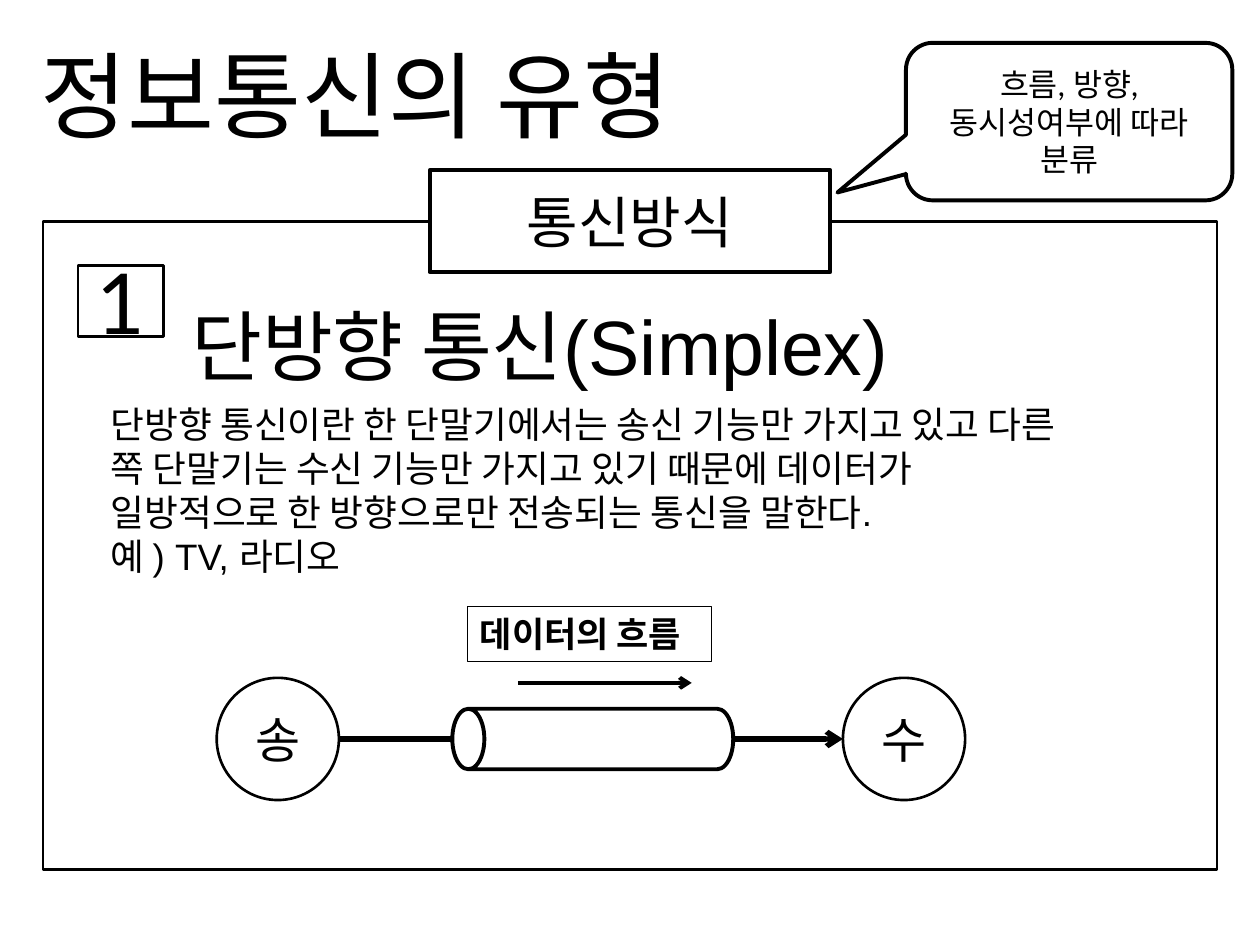
from lxml import etree
from pptx import Presentation
from pptx.dml.color import RGBColor
from pptx.enum import shapes, text
from pptx.oxml import ns
from pptx.util import Inches, Pt

HUES = {"ink": "000000", "paper": "FFFFFF"}
KIND = shapes.MSO_SHAPE
ALIGN = text.PP_ALIGN
ANCHOR = text.MSO_ANCHOR


def hue(name):
    return RGBColor.from_string(HUES[name])


def write(frame, lines, size, font="Lato", align=ALIGN.LEFT,
          anchor=ANCHOR.TOP, bold=False):
    """Fill a text frame with one paragraph, broken into the given lines."""
    frame.word_wrap = True
    frame.vertical_anchor = anchor
    para = frame.paragraphs[0]
    para.alignment = align
    for i, line in enumerate(lines):
        if i:
            para.add_line_break()
        run = para.add_run()
        run.text = line
        run.font.size = Pt(size)
        run.font.name = font
        run.font.bold = bold
        run.font.color.rgb = hue("ink")


def shape(slide, kind, x, y, w, h, line, fill=True):
    item = slide.shapes.add_shape(kind, *map(Inches, (x, y, w, h)))
    item.shadow.inherit = False
    if fill:
        item.fill.solid()
        item.fill.fore_color.rgb = hue("paper")
    else:
        item.fill.background()
    item.line.color.rgb = hue("ink")
    item.line.width = Pt(line)
    return item


def label(slide, kind, x, y, w, h, line, lines, size):
    """Add a white shape with centred text."""
    item = shape(slide, kind, x, y, w, h, line)
    write(item.text_frame, lines, size, align=ALIGN.CENTER,
          anchor=ANCHOR.MIDDLE)
    return item


def note(slide, x, y, w, h, lines, size):
    box = slide.shapes.add_textbox(*map(Inches, (x, y, w, h)))
    write(box.text_frame, lines, size, "Arial")


def link(slide, x, y, end, line, arrow=True):
    """Draw a level line from x to end, with an optional arrowhead."""
    item = slide.shapes.add_connector(
        shapes.MSO_CONNECTOR.STRAIGHT, *map(Inches, (x, y, end, y)))
    item.line.color.rgb = hue("ink")
    item.line.width = Pt(line)
    if arrow:
        etree.SubElement(item.line._get_or_add_ln(), ns.qn("a:tailEnd"),
                         type="arrow")
    etree.SubElement(item._element.spPr, ns.qn("a:effectLst"))


def title(slide, x, y, w, h):
    head = slide.shapes.title
    head.left, head.top, head.width, head.height = map(Inches, (x, y, w, h))
    write(head.text_frame, ["정보통신의 유형"], 54)


def panel(slide, x, y, w, h):
    """Draw the frame, its tab and callout, and the explanation."""
    shape(slide, KIND.RECTANGLE, x, y, w, h, 1.5, fill=False)
    label(slide, KIND.RECTANGLE, x + 3.07, y - 0.41, 3.18, 0.81, 2.25,
          ["통신방식"], 32)
    hint = label(slide, KIND.ROUNDED_RECTANGULAR_CALLOUT, x + 6.85, y - 1.42,
                 2.59, 1.25, 2.25,
                 ["흐름, 방향,", "동시성여부에 따라", "분류"], 18)
    for i, value in enumerate((-0.71, 0.45, 0.17)):
        hint.adjustments[i] = value
    label(slide, KIND.RECTANGLE, x + 0.28, y + 0.35, 0.68, 0.56, 1.5,
          ["1"], 48)
    note(slide, x + 1.08, y + 0.56, 6.76, 0.84, ["단방향 통신(Simplex)"], 44)
    note(slide, x + 0.44, y + 1.38, 8.69, 1.51, [
        "단방향 통신이란 한 단말기에서는 송신 기능만 가지고 있고 다른",
        "쪽 단말기는 수신 기능만 가지고 있기 때문에 데이터가",
        "일방적으로 한 방향으로만 전송되는 통신을 말한다.",
        "예 ) TV, 라디오"], 21)


def flow(slide, x, y, w, h):
    """Draw sender, pipe and receiver on one axis, with the flow label."""
    size = 0.97
    axis = y + h - size / 2
    far = x + w - size
    for left, name in ((x, "송"), (far, "수")):
        label(slide, KIND.OVAL, left, axis - size / 2, size, size, 1.5,
              [name], 28)

    wide, long = 0.48, 2.23
    start = x + 1.87
    pipe = shape(slide, KIND.CAN, start + (long - wide) / 2, axis - long / 2,
                 wide, long, 2.25)
    pipe.rotation = 270
    pipe.adjustments[0] = 0.53

    link(slide, x + size, axis, start, 3, arrow=False)
    link(slide, start + long, axis, far, 3)
    link(slide, x + 2.39, y + 0.61, x + 3.77, 2.25)
    tag = shape(slide, KIND.RECTANGLE, x + 1.99, y, 1.94, 0.44, 0.5,
                fill=False)
    write(tag.text_frame, ["데이터의 흐름"], 20, "Noto Sans CJK KR", bold=True)


def main():
    deck = Presentation()
    deck.slide_width, deck.slide_height = Inches(10), Inches(7.5)
    slide = deck.slides.add_slide(deck.slide_layouts[5])
    title(slide, 0.22, 0.24, 5.68, 1.01)
    panel(slide, 0.34, 1.76, 9.32, 5.14)
    flow(slide, 1.72, 4.81, 5.94, 1.54)
    deck.save("out.pptx")


if __name__ == "__main__":
    main()
